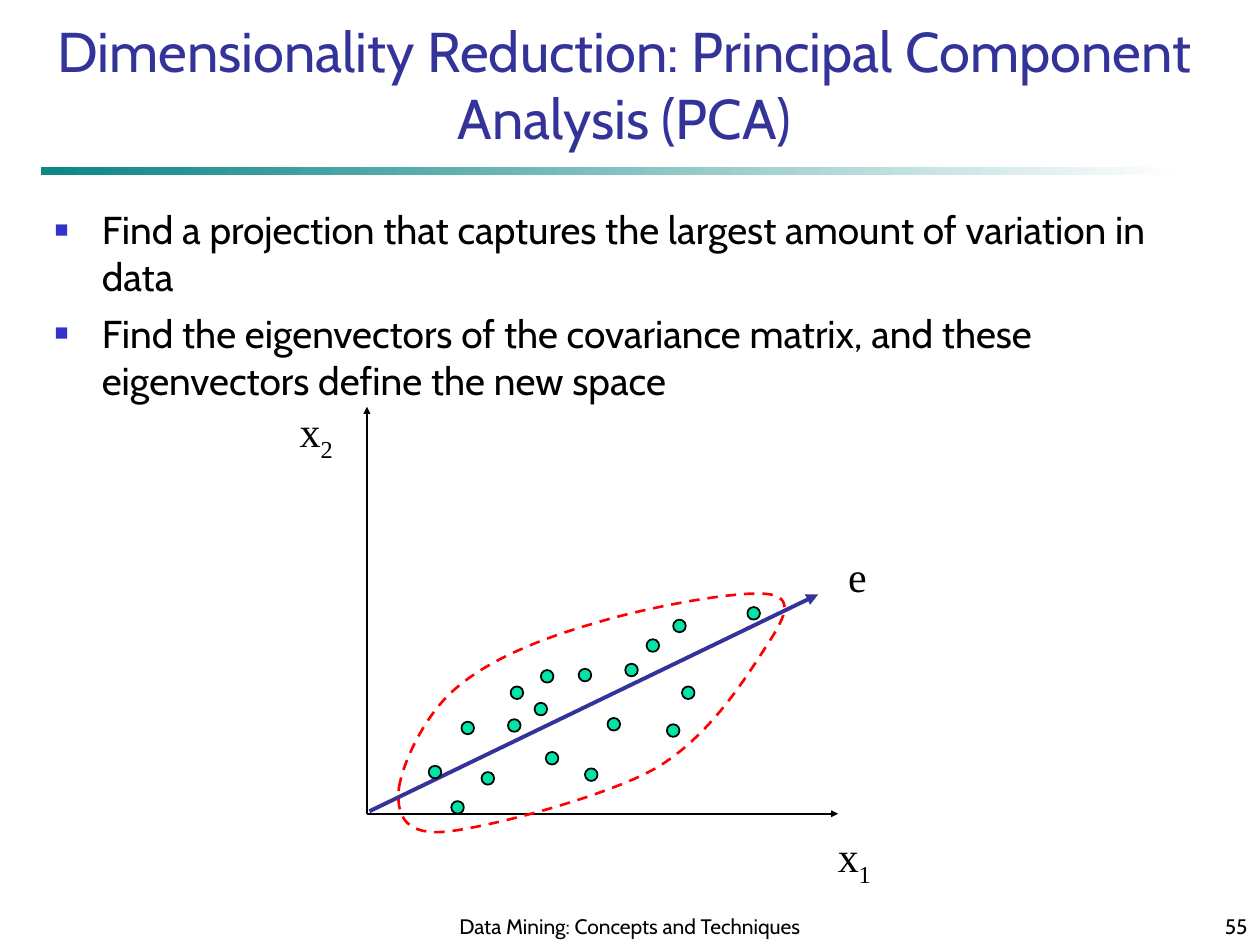
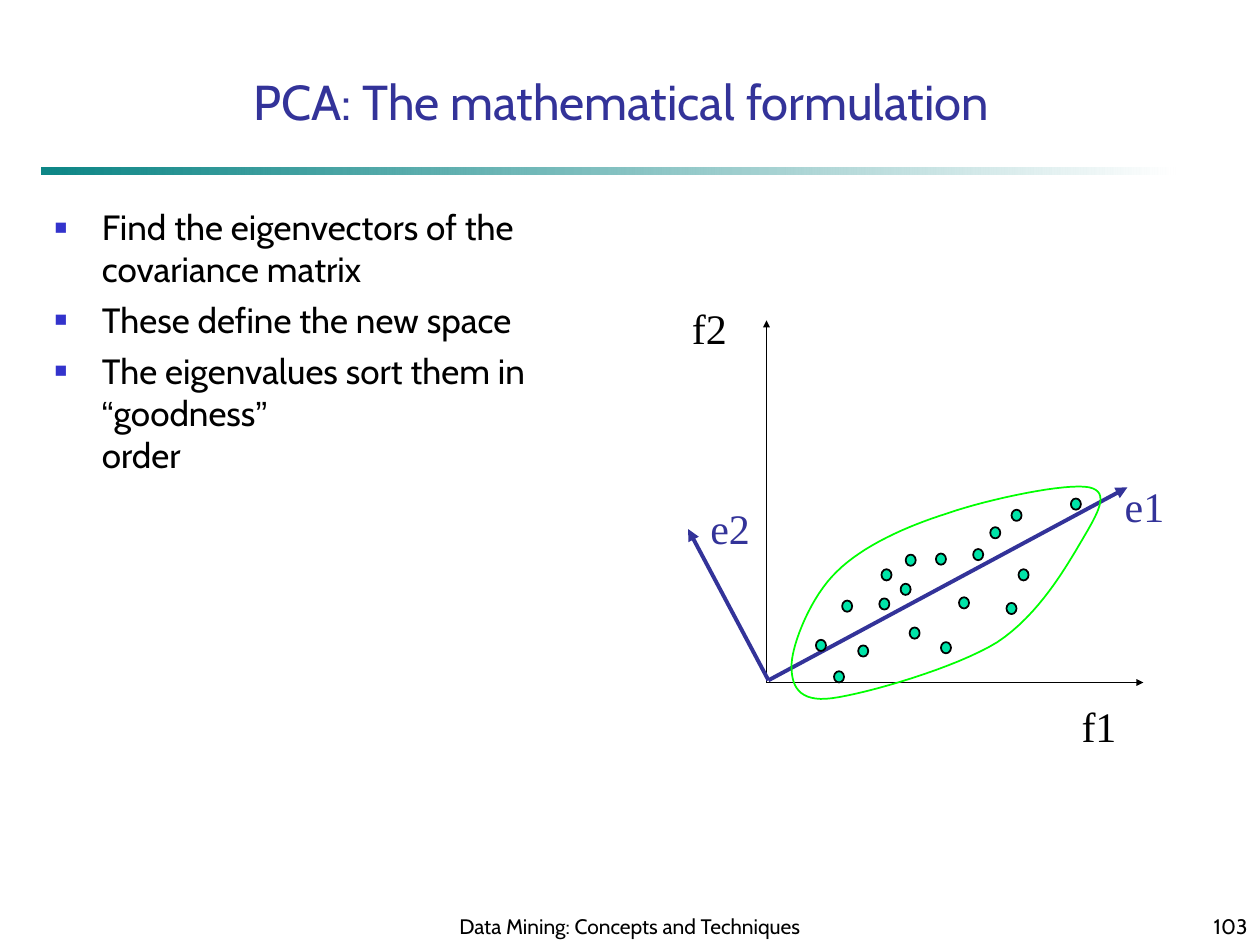
from dataclasses import dataclass
from itertools import groupby

from lxml.etree import SubElement
from pptx import Presentation
from pptx.dml.color import RGBColor
from pptx.enum.dml import MSO_LINE
from pptx.enum.shapes import MSO_CONNECTOR, MSO_SHAPE
from pptx.enum.text import MSO_ANCHOR, MSO_AUTO_SIZE, PP_ALIGN
from pptx.oxml.ns import qn
from pptx.util import Pt


@dataclass(frozen=True)
class Theme:
    black: str = "000000"
    navy: str = "333399"
    bullet: str = "3333CC"
    teal: str = "008080"
    white: str = "FFFFFF"
    dot: str = "00E4A8"
    red: str = "FF0000"
    green: str = "00FF00"
    sans: str = "Cabin"
    quote: str = "Arial"
    serif: str = "Times New Roman"
    foot: float = 12
    label: float = 24
    indent: float = 27


# Plot data in points, measured right and up from the origin
DOTS = [(57.6, 49), (85.7, 69.1), (38.9, 23.8), (99.4, 59.8), (84.2, 50.4),
        (141.1, 51.1), (128.2, 22.3), (105.8, 31.7), (124.6, 79.2),
        (183.6, 69.1), (221, 114.5), (69.1, 20.2), (151.2, 82.1),
        (178.6, 107.3), (103, 78.5), (163.4, 96.1), (175, 47.5), (51.8, 3.6)]
DOT_SIZE = 7.2
AXES = [(0, 232.5), (269.2, 0)]
START = (1.4, 1.4)
FIRST = (257.8, 125.3)
SECOND = (-56, 98.5)

# Cloud outline: a start, then two handles and an end for each curve
CLOUD = [(18, 12.2),
         (18.7, 25.2), (31.7, 55.4), (50.4, 71.3),
         (69.1, 87.8), (99.4, 100.1), (129.6, 108.7),
         (159.8, 118.1), (214.6, 128.2), (230.4, 125.3),
         (246.2, 122.4), (236.2, 108), (225.4, 91.4),
         (214.6, 74.9), (194.4, 43.2), (164.9, 25.9),
         (135.4, 9.4), (71.3, -7.2), (46.8, -10.1),
         (22.3, -13), (17.3, -1.4), (18, 12.2)]


def trace(knots, steps=16):
    """Points along a chain of cubic curves."""
    for i in range(0, len(knots) - 1, 3):
        for n in range(1, steps + 1):
            t = n / steps
            u = 1 - t
            parts = (u**3, 3 * u * u * t, 3 * u * t * t, t**3)
            yield tuple(sum(w * k[axis] for w, k in zip(parts, knots[i:i + 4]))
                        for axis in (0, 1))


def rgb(code):
    return RGBColor.from_string(code)


class Deck:
    def __init__(self, theme):
        self.theme = theme
        self.prs = Presentation()
        self.prs.slide_width, self.prs.slide_height = Pt(720), Pt(540)
        self.slide = None

    def style(self, run, size, color, font=None):
        run.font.size = Pt(size)
        run.font.name = font or self.theme.sans
        run.font.color.rgb = rgb(color)

    def place(self, shape, box):
        shape.left, shape.top, shape.width, shape.height = map(Pt, box)

    # Shared frame: title, band and footers
    def page(self, title, size, box, number):
        t = self.theme
        self.slide = self.prs.slides.add_slide(self.prs.slide_layouts[1])
        self.band()
        self.text("Data Mining: Concepts and Techniques",
                  (246, 510, 228, 30), PP_ALIGN.CENTER)
        self.text(number, (570, 510, 150, 30), PP_ALIGN.RIGHT)
        head = self.slide.shapes.title
        self.place(head, box)
        frame = head.text_frame
        frame.text = title
        frame.auto_size = MSO_AUTO_SIZE.NONE
        frame.vertical_anchor = MSO_ANCHOR.BOTTOM
        par = frame.paragraphs[0]
        par.alignment = PP_ALIGN.CENTER
        self.style(par.runs[0], size, t.navy)

    def band(self):
        bar = self.slide.shapes.add_shape(
            MSO_SHAPE.RECTANGLE, *map(Pt, (24, 96, 648, 4)))
        bar.shadow.inherit = False
        bar.line.fill.background()
        bar.fill.gradient()
        bar.fill.gradient_angle = 0
        stops = bar.fill.gradient_stops
        for stop, color, spot in zip(stops, (self.theme.teal, self.theme.white), (0, 1)):
            stop.color.rgb = rgb(color)
            stop.position = spot
        tint = next(bar.element.iter(qn("a:srgbClr")))
        SubElement(tint, qn("a:alpha"), val="95000")

    def text(self, words, box, align):
        frame = self.slide.shapes.add_textbox(*map(Pt, box)).text_frame
        frame.word_wrap = True
        frame.vertical_anchor = MSO_ANCHOR.BOTTOM
        frame.text = words
        par = frame.paragraphs[0]
        par.alignment = align
        self.style(par.runs[0], self.theme.foot, self.theme.black)

    # Bulleted body; curly quotes take their own font
    def bullets(self, items, box, size, gap):
        t = self.theme
        body = self.slide.placeholders[1]
        self.place(body, box)
        frame = body.text_frame
        frame.auto_size = MSO_AUTO_SIZE.NONE
        for i, item in enumerate(items):
            par = frame.add_paragraph() if i else frame.paragraphs[0]
            par.space_before = Pt(gap)
            for font, chars in groupby(
                    item, lambda c: t.quote if c in "“”" else "" if c == "\n" else t.sans):
                if not font:
                    par.add_line_break()
                    continue
                run = par.add_run()
                run.text = "".join(chars)
                self.style(run, size, t.black, font)
            for stop in par._p.findall(qn("a:br")):
                SubElement(stop, qn("a:rPr"), sz=str(round(size * 100)))
            self.mark(par)

    def mark(self, par):
        props = par._p.get_or_add_pPr()
        props.set("marL", str(Pt(self.theme.indent)))
        props.set("indent", str(-Pt(self.theme.indent)))
        tone = SubElement(props, qn("a:buClr"))
        SubElement(tone, qn("a:srgbClr"), val=self.theme.bullet)
        SubElement(props, qn("a:buSzPct"), val="60000")
        SubElement(props, qn("a:buFont"), typeface="Arial")
        SubElement(props, qn("a:buChar"), char="■")

    # Plot parts
    def arrow(self, start, end, color, width, tip="med"):
        line = self.slide.shapes.add_connector(
            MSO_CONNECTOR.STRAIGHT, *map(Pt, start + end))
        line.line.color.rgb = rgb(color)
        line.line.width = Pt(width)
        SubElement(line.line._get_or_add_ln(), qn("a:tailEnd"),
                   type="triangle", w=tip, len=tip)
        SubElement(line.element.spPr, qn("a:effectLst"))

    def dot(self, mid, size):
        (x, y), (w, h) = mid, size
        oval = self.slide.shapes.add_shape(
            MSO_SHAPE.OVAL, *map(Pt, (x - w / 2, y - h / 2, w, h)))
        oval.shadow.inherit = False
        oval.fill.solid()
        oval.fill.fore_color.rgb = rgb(self.theme.dot)
        oval.line.color.rgb = rgb(self.theme.black)
        oval.line.width = Pt(1)

    def outline(self, points, color, width, dash):
        first, *rest = [tuple(map(Pt, p)) for p in points]
        pen = self.slide.shapes.build_freeform(*first)
        pen.add_line_segments(rest, close=True)
        loop = pen.convert_to_shape()
        loop.shadow.inherit = False
        loop.fill.background()
        loop.line.color.rgb = rgb(color)
        loop.line.width = Pt(width)
        if dash:
            loop.line.dash_style = dash

    def label(self, words, x, y, color, sub=""):
        wide, high = 54, 36
        frame = self.slide.shapes.add_textbox(
            *map(Pt, (x - wide / 2, y - high / 2, wide, high))).text_frame
        frame.word_wrap = False
        frame.vertical_anchor = MSO_ANCHOR.MIDDLE
        frame.text = words
        par = frame.paragraphs[0]
        par.alignment = PP_ALIGN.CENTER
        if sub:
            low = par.add_run()
            low.text = sub
            low.font._element.set("baseline", "-25000")
        for run in par.runs:
            self.style(run, self.theme.label, color, self.theme.serif)

    def plot(self, origin, scale, vectors, color, width, dash=None):
        def spot(point):
            return (origin[0] + point[0] * scale[0], origin[1] - point[1] * scale[1])

        for end in AXES:
            self.arrow(origin, spot(end), self.theme.black, 1, "sm")
        for end in vectors:
            self.arrow(spot(START), spot(end), self.theme.navy, 2.25)
        for point in DOTS:
            self.dot(spot(point), [DOT_SIZE * s for s in scale])
        self.outline(map(spot, trace(CLOUD)), color, width, dash)


def main():
    theme = Theme()
    deck = Deck(theme)

    # Slide 1: the main direction of a point cloud
    deck.page("Dimensionality Reduction: Principal Component Analysis (PCA)",
              32, (12, 12, 690, 78), "55")
    deck.bullets([
        "Find a projection that captures the largest amount of variation in data",
        "Find the eigenvectors of the covariance matrix, and these eigenvectors "
        "define the new space",
    ], (24, 114, 660, 122), 22.2, 6)
    deck.plot((209.7, 465), (1, 1), [FIRST], theme.red, 1.5, MSO_LINE.DASH)
    deck.label("x", 180.7, 248.4, theme.black, "2")
    deck.label("x", 488.2, 491, theme.black, "1")
    deck.label("e", 490, 329, theme.black)

    # Slide 2: both eigenvectors
    deck.page("PCA: The mathematical formulation", 28, (48, 30, 613.5, 48), "103")
    deck.bullets([
        "Find the eigenvectors of the covariance matrix",
        "These define the new space",
        "The eigenvalues sort them in “goodness”\norder",
    ], (24, 114, 327, 396), 20, 5)
    deck.plot((438, 390), (0.8, 0.89), [FIRST, SECOND], theme.green, 1)
    for words, x, y, color in [("f1", 628, 414.7, theme.black),
                               ("e1", 654, 288.7, theme.navy),
                               ("e2", 417.2, 301.7, theme.navy),
                               ("f2", 405.3, 187.2, theme.black)]:
        deck.label(words, x, y, color)

    deck.prs.save("out.pptx")


if __name__ == "__main__":
    main()
